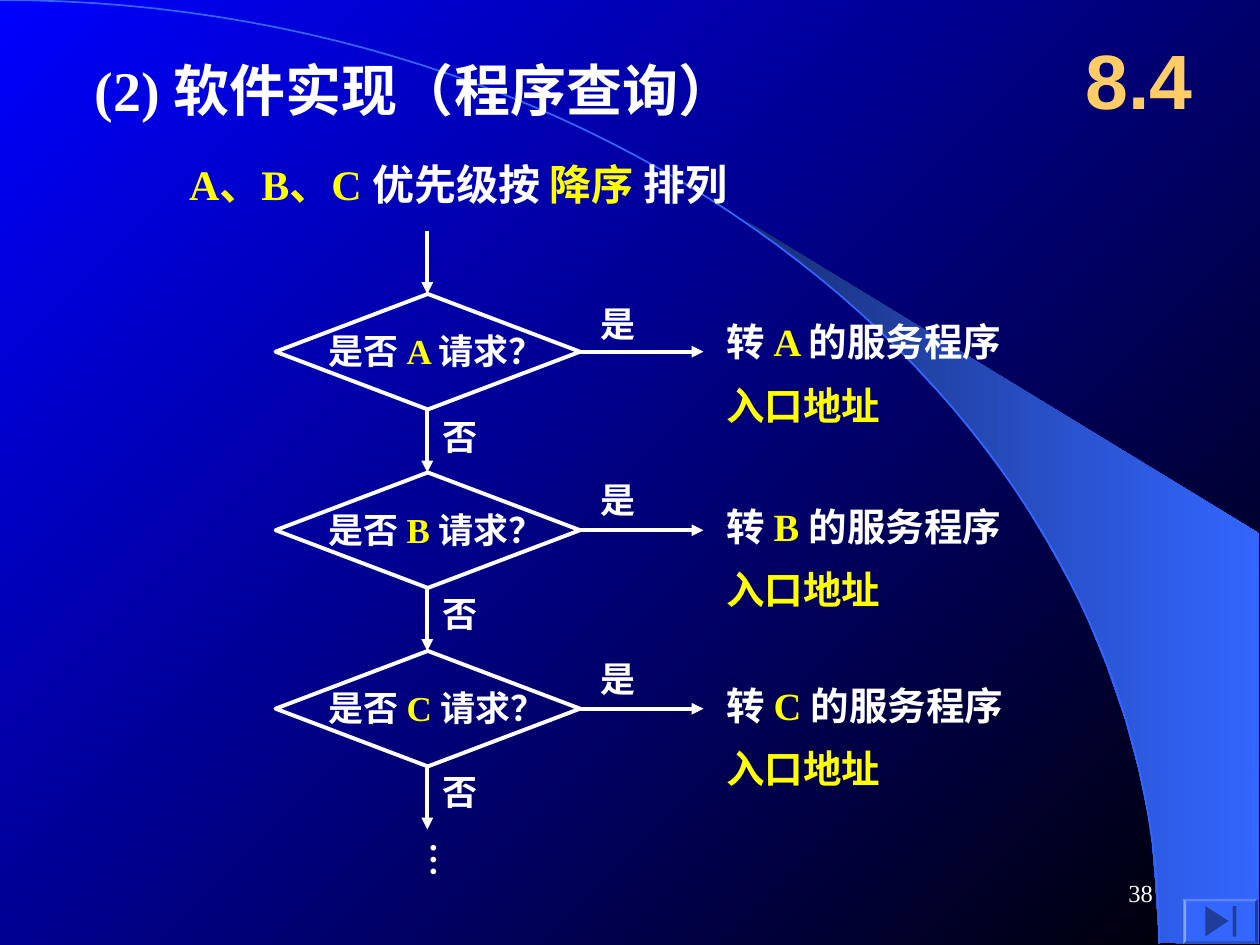
from dataclasses import dataclass

from lxml.etree import SubElement
from pptx import Presentation
from pptx.dml.color import RGBColor
from pptx.enum.lang import MSO_LANGUAGE_ID as Language
from pptx.enum.shapes import MSO_CONNECTOR as Connector, MSO_SHAPE as Shape
from pptx.enum.text import MSO_ANCHOR as Anchor, MSO_AUTO_SIZE as AutoSize, PP_ALIGN as Align
from pptx.oxml.ns import qn
from pptx.util import Inches, Pt

COLUMNS, ROWS = 120, 90
UNIT = Inches(10) / COLUMNS
WHITE, YELLOW, BLUE, GOLD = "FFFFFF", "FFFF00", "3366FF", "FFCC66"
SERIF = "Times New Roman"
INSETS = (1.2, 0.6, 1.2, 0.6)
ROW_TOP, ROW_PITCH, DIAMOND_HEIGHT, DROP = 28, 17, 11, 6
FLOW_COLUMN = 40.7
SWEEP = [
    (110.4, 89.8), (119.9, 89.9), (119.9, 50.8), (70.7, 20.8), (74.9, 23.9), (78.4, 26.6),
    (82.2, 30), (85.9, 33.6), (91.4, 39.6), (96.4, 46.1), (99.8, 51.7), (103, 57.5),
    (105.4, 63.4), (107.2, 68.6), (108.4, 73.1), (109.6, 78.7), (110, 83.5),
]


@dataclass(frozen=True)
class Box:
    left: float
    top: float
    width: float
    height: float

    def lengths(self) -> list:
        """Return the box in slide units."""
        return [grid(value) for value in (self.left, self.top, self.width, self.height)]


@dataclass(frozen=True)
class Style:
    size: float = 20
    font: str = SERIF
    color: str = WHITE
    bold: bool = True
    align: Align = Align.LEFT
    anchor: Anchor = Anchor.TOP
    insets: tuple = INSETS
    wrap: bool = True
    grow: bool = False
    line_spacing: float = 1.0
    space_before: float = 0


@dataclass(frozen=True)
class Query:
    device: str
    label_shift: float
    service_top: float


HEADING = Style(32, anchor=Anchor.MIDDLE, insets=(0, 0.6, 0, 0.6), wrap=False)
SUBHEADING = Style(24, anchor=Anchor.MIDDLE, insets=(0, 0.6, 0, 0.6), wrap=False)
CHAPTER = Style(44, "Arial", GOLD, align=Align.CENTER, anchor=Anchor.MIDDLE)
PAGE = Style(14, bold=False, align=Align.RIGHT, anchor=Anchor.MIDDLE)
LABEL = Style(grow=True)
QUESTION = Style(insets=(0, 0, 1.2, 0.6), grow=True)
SERVICE = Style(22, grow=True, line_spacing=0.85, space_before=13.8)
ELLIPSIS = Style(insets=(0.6, 1.2, 0.6, 1.2), wrap=False, grow=True)
QUERIES = [Query("A", 0.2, 30.4), Query("B", 0, 48), Query("C", 0, 65)]


def grid(value: float) -> int:
    """Turn grid units into slide units."""
    return round(value * UNIT)


def rgb(color: str) -> RGBColor:
    """Turn a hex string into a colour."""
    return RGBColor.from_string(color)


def paint_gradient(fill, colors: tuple, angle: float) -> None:
    """Give a fill a gradient of two colours."""
    fill.gradient()
    fill.gradient_angle = angle
    for stop, color in zip(fill.gradient_stops, colors):
        stop.color.rgb = rgb(color)


def add_text(slide, box: Box, lines: list, style: Style):
    """Add a text box whose lines are lists of (text, colour) runs."""
    shape = slide.shapes.add_textbox(*box.lengths())
    frame = shape.text_frame
    frame.word_wrap = style.wrap
    frame.auto_size = AutoSize.SHAPE_TO_FIT_TEXT if style.grow else AutoSize.NONE
    frame.vertical_anchor = style.anchor
    (frame.margin_left, frame.margin_top,
     frame.margin_right, frame.margin_bottom) = map(grid, style.insets)
    for index, line in enumerate(lines):
        paragraph = frame.add_paragraph() if index else frame.paragraphs[0]
        paragraph.alignment = style.align
        paragraph.line_spacing = style.line_spacing
        if index:
            paragraph.space_before = Pt(style.space_before)
        font = paragraph.font
        font.name, font.size, font.bold = style.font, Pt(style.size), style.bold
        font.language_id = Language.SIMPLIFIED_CHINESE
        font.color.rgb = rgb(style.color)
        for text, color in line:
            run = paragraph.add_run()
            run.text = text
            if color != style.color:
                run.font.color.rgb = rgb(color)
    return shape


def add_arrow(slide, start: tuple, end: tuple) -> None:
    """Add a white line with an arrowhead at its end."""
    arrow = slide.shapes.add_connector(Connector.STRAIGHT, *map(grid, start + end))
    arrow.line.color.rgb = rgb(WHITE)
    arrow.line.width = Pt(2.25)
    SubElement(arrow.line._get_or_add_ln(), qn("a:tailEnd"), type="triangle")
    SubElement(arrow._element.spPr, qn("a:effectLst"))


def add_outline(slide, points: list, close: bool = True):
    """Add a freeform through grid points."""
    first, *rest = [(grid(x), grid(y)) for x, y in points]
    builder = slide.shapes.build_freeform(*first)
    builder.add_line_segments(rest, close=close)
    shape = builder.convert_to_shape()
    shape.shadow.inherit = False
    return shape


def add_solid(slide, kind: Shape, box: Box, color: str):
    """Add a filled preset shape without a line."""
    shape = slide.shapes.add_shape(kind, *box.lengths())
    shape.shadow.inherit = False
    shape.fill.solid()
    shape.fill.fore_color.rgb = rgb(color)
    shape.line.fill.background()
    return shape


def arc_points(width: float, height: float, steps: int = 60) -> list:
    """Sample the curve that falls from the top left corner."""
    points = []
    for step in range(steps + 1):
        t = step / steps
        across = 3 * t * (1 - t) ** 2 * 0.55 + 3 * t ** 2 * (1 - t) + t ** 3
        down = 3 * t ** 2 * (1 - t) * 0.45 + t ** 3
        points.append((width * across, height * down))
    return points


def add_backdrop(slide) -> None:
    """Draw the background, the light sweep and the arc."""
    paint_gradient(slide.background.fill, ("0000FF", "000000"), 315)
    sweep = add_outline(slide, SWEEP)
    paint_gradient(sweep.fill, ("182F76", BLUE), 0)
    sweep.line.fill.background()
    arc = add_outline(slide, arc_points(110.4, 89.9), close=False)
    arc.fill.background()
    arc.line.color.rgb = rgb(BLUE)
    arc.line.width = Pt(1)


def add_query(slide, query: Query, top: float) -> None:
    """Draw one decision with its two branches and service entry."""
    middle, bottom = top + DIAMOND_HEIGHT / 2, top + DIAMOND_HEIGHT
    diamond = add_solid(slide, Shape.DIAMOND, Box(26.25, top, 29, DIAMOND_HEIGHT), WHITE)
    diamond.fill.background()
    diamond.line.color.rgb = rgb(WHITE)
    diamond.line.width = Pt(2.25)
    device = (f"{query.device} ", YELLOW)
    add_text(slide, Box(31.3, top + 3.4, 26, 4.7),
             [[("是否 ", WHITE), device, ("请求？", WHITE)]], QUESTION)
    add_text(slide, Box(68, query.service_top, 46, 11),
             [[("转 ", WHITE), device, ("的服务程序", WHITE)], [("入口地址", YELLOW)]], SERVICE)
    add_arrow(slide, (55, middle), (67, middle))
    add_arrow(slide, (FLOW_COLUMN, bottom), (FLOW_COLUMN, bottom + DROP))
    label_top = top + query.label_shift
    add_text(slide, Box(56, label_top, 8, 5.3), [[("是", WHITE)]], LABEL)
    add_text(slide, Box(41, label_top + 10.8, 8, 5.3), [[("否", WHITE)]], LABEL)


def add_end_button(slide) -> None:
    """Draw the bevelled button that jumps to the end."""
    button = add_solid(slide, Shape.BEVEL, Box(112.7, 85.6, 7.1, 4.3), BLUE)
    button.adjustments[0] = 0.06
    triangle = add_outline(slide, [(114.8, 86.3), (117, 87.7), (114.8, 89.2)])
    triangle.fill.solid()
    triangle.fill.fore_color.rgb = rgb("1F3D99")
    triangle.line.fill.background()
    add_solid(slide, Shape.RECTANGLE, Box(117.4, 86.3, 0.36, 2.9), "1F3D99")


def main() -> None:
    """Build and save the slide."""
    presentation = Presentation()
    presentation.slide_width, presentation.slide_height = grid(COLUMNS), grid(ROWS)
    slide = presentation.slides.add_slide(presentation.slide_layouts[6])
    add_backdrop(slide)
    add_text(slide, Box(18, 14, 69, 7), [[("A、B、C ", YELLOW), ("优先级按 ", WHITE),
                                          ("降序 ", YELLOW), ("排列", WHITE)]], SUBHEADING)
    add_text(slide, Box(9, 5, 69, 7), [[("(2) 软件实现（程序查询）", WHITE)]], HEADING)
    add_arrow(slide, (FLOW_COLUMN, ROW_TOP - DROP), (FLOW_COLUMN, ROW_TOP))
    for index, query in enumerate(QUERIES):
        add_query(slide, query, ROW_TOP + index * ROW_PITCH)
    ellipsis = add_text(slide, Box(38.6, 79, 6.4, 4.6), [[("…", WHITE)]], ELLIPSIS)
    ellipsis.text_frame._txBody.bodyPr.set("vert", "eaVert")
    add_text(slide, Box(101, 2, 15, 11), [[("8.4", GOLD)]], CHAPTER)
    add_end_button(slide)
    add_text(slide, Box(86, 82, 25, 6), [[("38", WHITE)]], PAGE)
    presentation.save("out.pptx")


if __name__ == "__main__":
    main()
